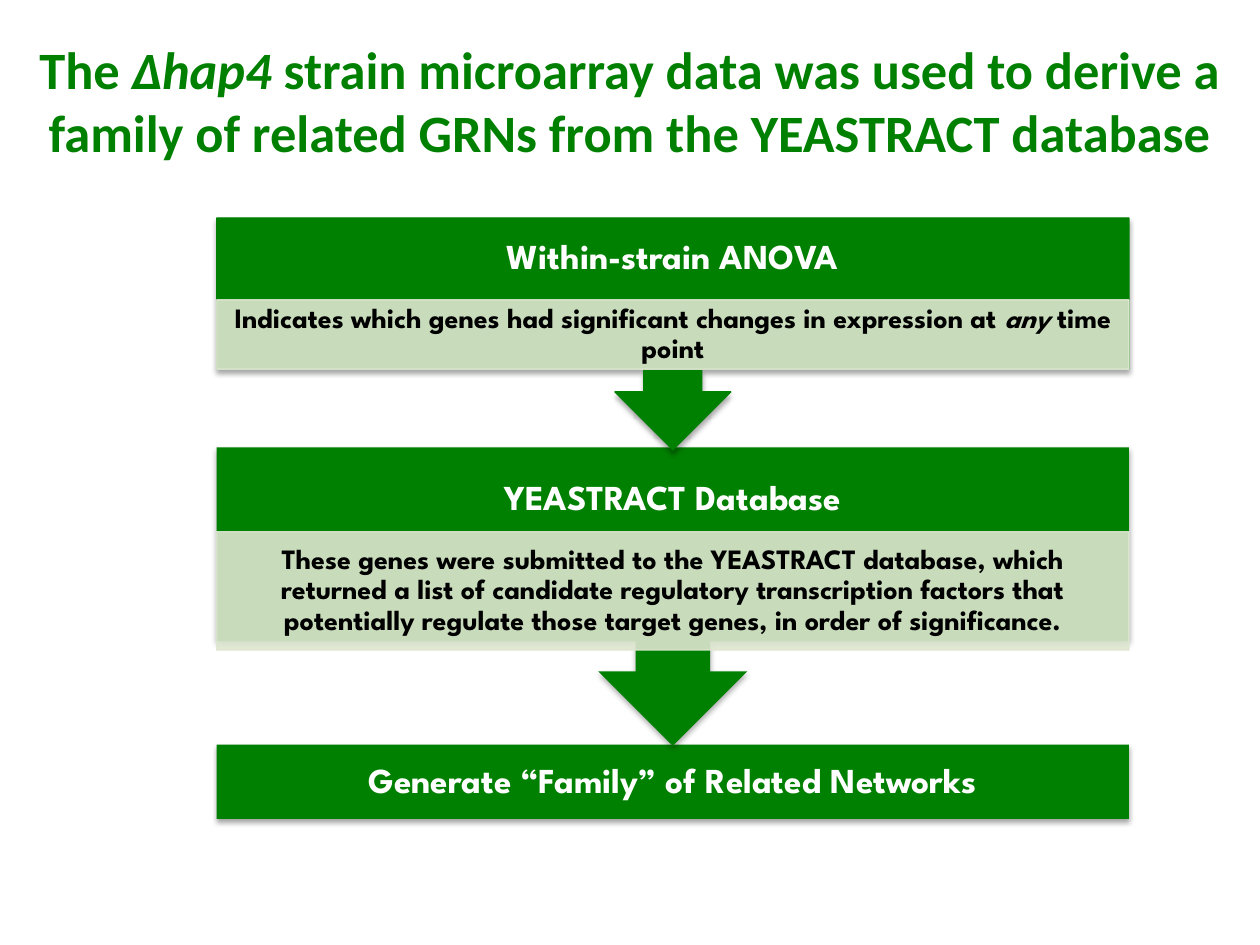
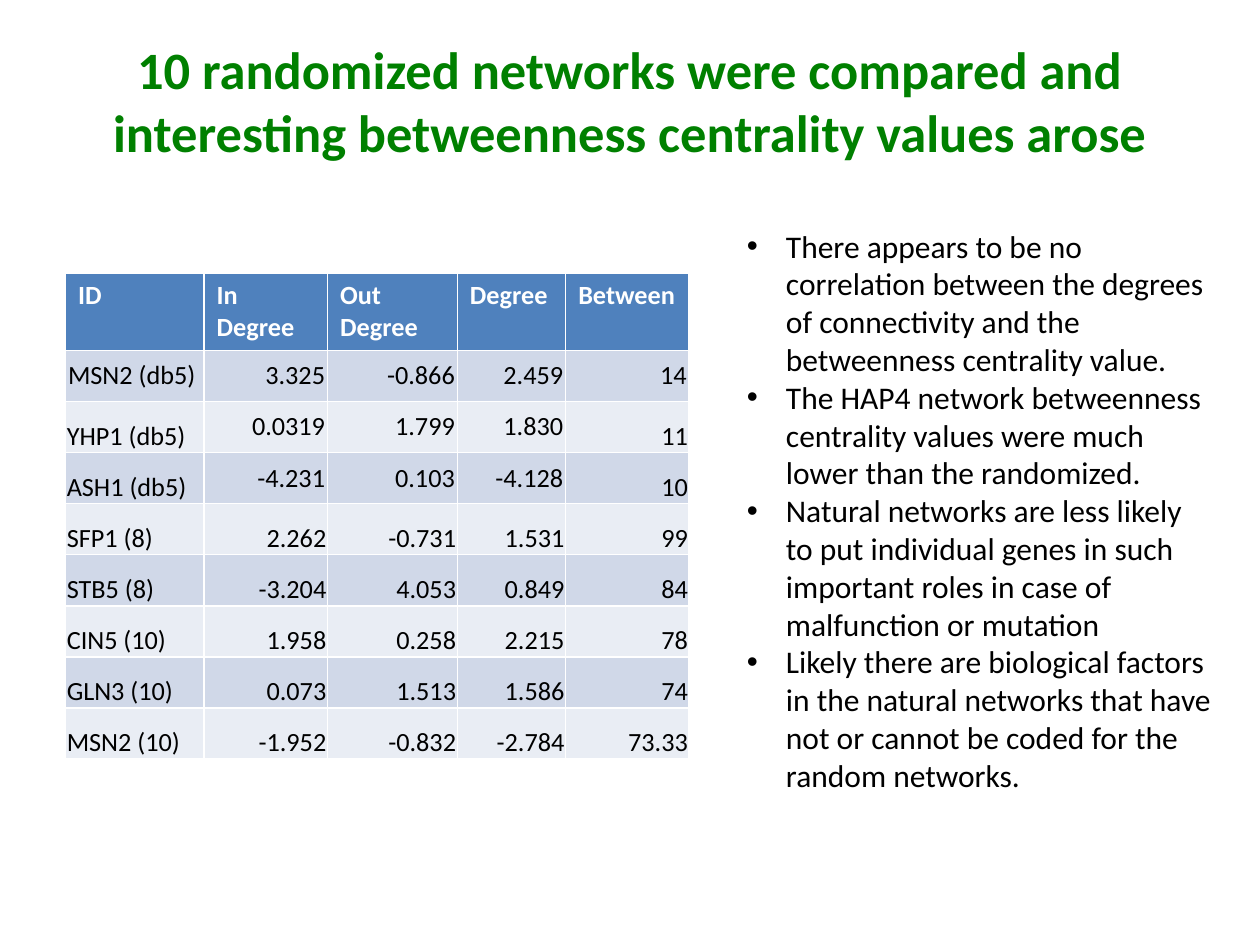
from lxml.etree import SubElement
from pptx import Presentation
from pptx.dml.color import RGBColor
from pptx.enum.shapes import MSO_SHAPE as SHAPE
from pptx.enum.text import MSO_ANCHOR as ANCHOR, PP_ALIGN as ALIGN
from pptx.oxml.ns import qn
from pptx.util import Inches, Pt

GREEN = RGBColor(0x00, 0x80, 0x00)
SAGE = RGBColor(0xDE, 0xE7, 0xD1)
WHITE = RGBColor(0xFF, 0xFF, 0xFF)
BLACK = RGBColor(0x00, 0x00, 0x00)
HEADER_BLUE = RGBColor(0x4F, 0x81, 0xBD)
BANDS = RGBColor(0xD0, 0xD8, 0xE8), RGBColor(0xE9, 0xED, 0xF4)

TITLE = dict(size=Pt(30), name="Calibri", bold=True)
HEADING = dict(size=Pt(20), name="League Spartan", bold=True)
DETAIL = dict(size=Pt(16), name="League Spartan", bold=True)
HEADER = dict(size=Pt(15), name="Calibri", bold=True)
BODY = dict(size=Pt(15), name="Calibri", bold=False)
BULLET = dict(size=Pt(18), name="Calibri")

FLOW_TITLE = [
    ("The ", False), ("Δhap4 ", True),
    ("strain microarray data was used to derive a family of related GRNs "
     "from the YEASTRACT database", False),
]
FLOW_LEFT, FLOW_WIDTH = 1.72, 7.24
STAGES = [
    dict(heading="Within-strain ANOVA", top=1.73, height=1.84, heading_height=0.64,
         detail_top=2.38, detail_height=0.55, outline=GREEN,
         detail=[("Indicates which genes had significant changes in expression at ", False),
                 ("any", True), (" time point", False)]),
    dict(heading="YEASTRACT Database", top=3.55, height=2.37, heading_height=0.83,
         detail_top=4.22, detail_height=0.94, outline=None,
         detail=[("These genes were submitted to the YEASTRACT database, which returned "
                  "a list of candidate regulatory transcription factors that potentially "
                  "regulate those target genes, in order of significance.", False)]),
]
RESULT = "Generate “Family” of Related Networks"
RESULT_TOP, RESULT_HEIGHT = 5.91, 0.59

TABLE_TITLE = [("10 randomized networks were compared and interesting betweenness "
                "centrality values arose", False)]
COLUMNS = [("ID", 1.1), ("In Degree", 0.98), ("Out Degree", 1.03),
           ("Degree", 0.86), ("Between", 0.98)]
GENES = [
    ("MSN2 (db5)", "3.325", "-0.866", "2.459", "14"),
    ("YHP1 (db5)", "0.0319", "1.799", "1.830", "11"),
    ("ASH1 (db5)", "-4.231", "0.103", "-4.128", "10"),
    ("SFP1 (8)", "2.262", "-0.731", "1.531", "99"),
    ("STB5 (8)", "-3.204", "4.053", "0.849", "84"),
    ("CIN5 (10)", "1.958", "0.258", "2.215", "78"),
    ("GLN3 (10)", "0.073", "1.513", "1.586", "74"),
    ("MSN2 (10)", "-1.952", "-0.832", "-2.784", "73.33"),
]
FINDINGS = [
    "There appears to be no correlation between the degrees of connectivity and the "
    "betweenness centrality value.",
    "The HAP4 network betweenness centrality values were much lower than the randomized.",
    "Natural networks are less likely to put individual genes in such important roles "
    "in case of malfunction or mutation",
    "Likely there are biological factors in the natural networks that have not or cannot "
    "be coded for the random networks.",
]


def set_all(obj, values):
    for key, value in values.items():
        setattr(obj, key, value)


def add_runs(p, runs, fmt, color):
    for text, italic in runs:
        r = p.add_run()
        r.text = text
        set_all(r.font, fmt)
        r.font.italic = italic
        r.font.color.rgb = color


def set_insets(obj, left, top, right, bottom):
    set_all(obj, dict(margin_left=Inches(left), margin_top=Inches(top),
                      margin_right=Inches(right), margin_bottom=Inches(bottom)))


def add_title_slide(prs, runs, left, width):
    s = prs.slides.add_slide(prs.slide_layouts[5])
    title = s.shapes.title
    set_all(title, dict(left=Inches(left), top=Inches(0.17),
                        width=Inches(width), height=Inches(1.25)))
    title.text_frame.vertical_anchor = ANCHOR.MIDDLE
    p = title.text_frame.paragraphs[0]
    p.alignment = ALIGN.CENTER
    add_runs(p, runs, TITLE, GREEN)
    return s


def flow_box(top, height):
    return [Inches(v) for v in (FLOW_LEFT, top, FLOW_WIDTH, height)]


def add_block(s, kind, top, height, fill, outline=None):
    sp = s.shapes.add_shape(kind, *flow_box(top, height))
    sp.fill.solid()
    sp.fill.fore_color.rgb = fill
    if outline is None:
        sp.line.fill.background()
    else:
        sp.line.color.rgb = outline
        sp.line.width = Pt(0.75)
    sp.shadow.inherit = False
    return sp


def add_alpha(color, percent):
    SubElement(color, qn("a:alpha"), val=str(percent * 1000))


def add_shadow(sp):
    effects = sp._element.spPr.find(qn("a:effectLst"))
    shadow = SubElement(effects, qn("a:outerShdw"), blurRad=str(Pt(3.1)), dist=str(Pt(1.8)),
                        dir="5400000", rotWithShape="0")
    add_alpha(SubElement(shadow, qn("a:srgbClr"), val=str(BLACK)), 35)


def write_block(sp, runs, fmt, color, inset_x, inset_y):
    tf = sp.text_frame
    tf.word_wrap = True
    tf.vertical_anchor = ANCHOR.MIDDLE
    set_insets(tf, inset_x, inset_y, inset_x, inset_y)
    p = tf.paragraphs[0]
    set_all(p, dict(alignment=ALIGN.CENTER, line_spacing=0.9))
    add_runs(p, runs, fmt, color)


def write_heading(sp, text):
    write_block(sp, [(text, False)], HEADING, WHITE, 0.16, 0.16)


def add_stage(s, stage):
    callout = add_block(s, SHAPE.UP_ARROW_CALLOUT, stage["top"], stage["height"],
                        GREEN, stage["outline"])
    callout.rotation = 180
    add_shadow(callout)
    write_heading(s.shapes.add_textbox(*flow_box(stage["top"], stage["heading_height"])),
                  stage["heading"])
    detail = add_block(s, SHAPE.RECTANGLE, stage["detail_top"], stage["detail_height"],
                       SAGE, SAGE)
    for color in detail._element.spPr.iter(qn("a:srgbClr")):
        add_alpha(color, 90)
    write_block(detail, stage["detail"], DETAIL, BLACK, 0.12, 0.02)


def build_flow(prs):
    s = add_title_slide(prs, FLOW_TITLE, 0, 10)
    result = add_block(s, SHAPE.RECTANGLE, RESULT_TOP, RESULT_HEIGHT, GREEN)
    add_shadow(result)
    write_heading(result, RESULT)
    for stage in reversed(STAGES):
        add_stage(s, stage)


def add_gene_table(s):
    rows = [[name for name, _ in COLUMNS], *GENES]
    table = s.shapes.add_table(len(rows), len(COLUMNS), Inches(0.52), Inches(2.17),
                               Inches(4.95), Inches(3.65)).table
    for column, (_, width) in zip(table.columns, COLUMNS):
        column.width = Inches(width)
    for i, row in enumerate(rows):
        for j, text in enumerate(row):
            cell = table.cell(i, j)
            cell.fill.solid()
            cell.fill.fore_color.rgb = BANDS[(i - 1) % 2] if i else HEADER_BLUE
            p = cell.text_frame.paragraphs[0]
            add_runs(p, [(text, False)], BODY if i else HEADER, BLACK if i else WHITE)
            if i == 0:
                continue
            p.alignment = ALIGN.RIGHT if j else ALIGN.LEFT
            if i == 1 or (i <= 3 and 1 <= j <= 3):
                cell.vertical_anchor = ANCHOR.MIDDLE
                set_insets(cell, 0.02, 0.02, 0.02, 0.02)
            else:
                cell.vertical_anchor = ANCHOR.BOTTOM
                set_insets(cell, 0.01, 0.01, 0.01, 0)


def add_findings(s):
    box = s.shapes.add_textbox(Inches(5.83), Inches(1.75), Inches(3.9), Inches(4.64))
    tf = box.text_frame
    tf.word_wrap = True
    for i, finding in enumerate(FINDINGS):
        p = tf.add_paragraph() if i else tf.paragraphs[0]
        pPr = p._p.get_or_add_pPr()
        pPr.set("marL", str(Inches(0.31)))
        pPr.set("indent", str(-Inches(0.31)))
        SubElement(pPr, qn("a:buFont"), typeface="Arial")
        SubElement(pPr, qn("a:buChar"), char="•")
        add_runs(p, [(finding, False)], BULLET, BLACK)


def build_comparison(prs):
    s = add_title_slide(prs, TABLE_TITLE, 0.5, 9)
    add_gene_table(s)
    add_findings(s)


def main():
    prs = Presentation()
    prs.slide_width, prs.slide_height = Inches(10), Inches(7.5)
    build_flow(prs)
    build_comparison(prs)
    prs.save("out.pptx")


if __name__ == "__main__":
    main()
